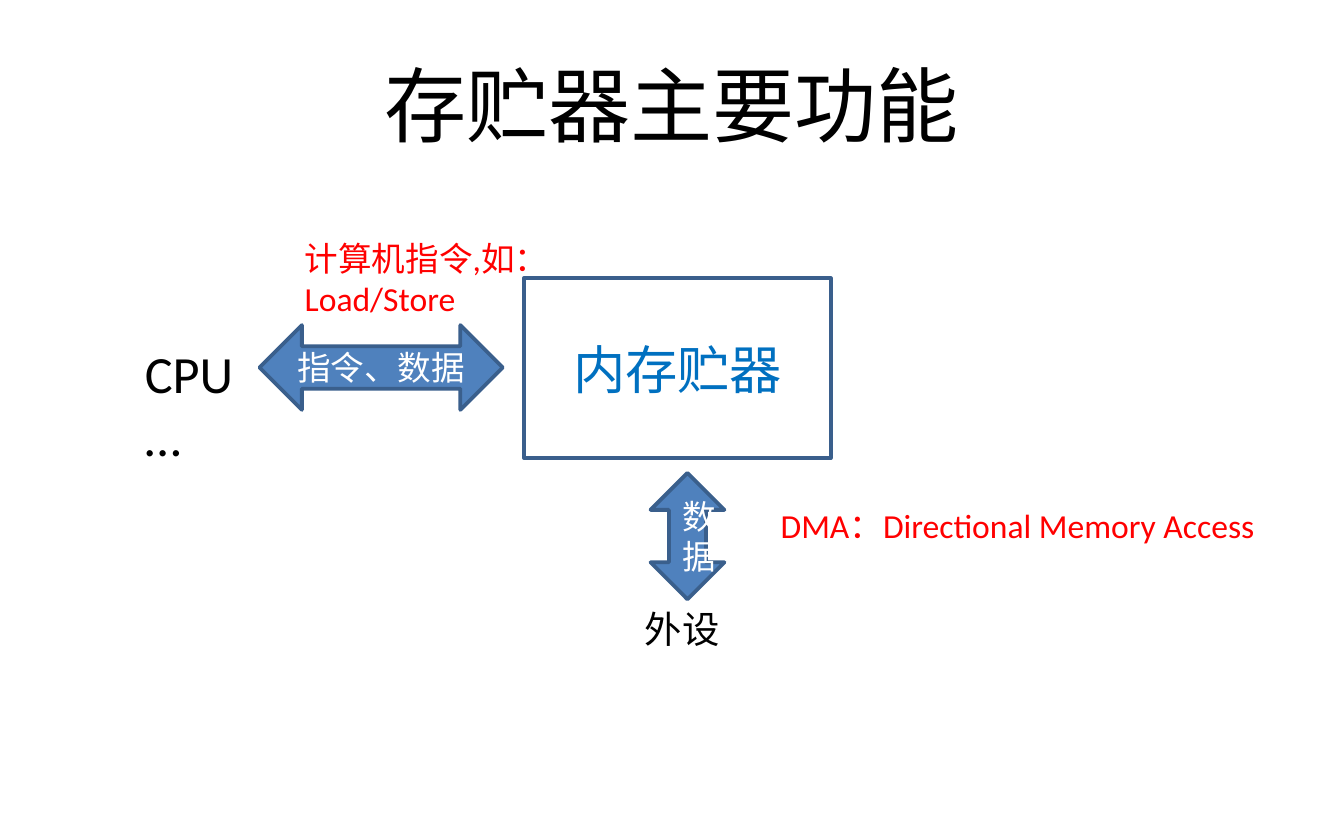
from dataclasses import dataclass
from typing import Optional

from pptx import Presentation
from pptx.dml.color import RGBColor
from pptx.enum.shapes import MSO_SHAPE
from pptx.enum.text import MSO_ANCHOR, PP_ALIGN
from pptx.util import Pt

RECT = MSO_SHAPE.RECTANGLE
ACROSS = MSO_SHAPE.LEFT_RIGHT_ARROW
UPDOWN = MSO_SHAPE.UP_DOWN_ARROW
TOP, MIDDLE = MSO_ANCHOR.TOP, MSO_ANCHOR.MIDDLE
LEFT, CENTER = PP_ALIGN.LEFT, PP_ALIGN.CENTER


@dataclass(frozen=True)
class Theme:
    black: str = "000000"
    white: str = "FFFFFF"
    red: str = "FF0000"
    blue: str = "0070C0"
    fill: str = "4F81BD"
    edge: str = "3A5F8C"
    title: float = 44
    large: float = 28
    medium: float = 20
    small: float = 18
    stroke: float = 2
    main: str = "Calibri"
    plain: str = "Arial"
    hanzi: str = "Noto Sans CJK SC"


THEME = Theme()


@dataclass(frozen=True)
class Label:
    text: str
    box: tuple[float, float, float, float]
    size: float
    color: str
    font: str = THEME.main
    align: PP_ALIGN = LEFT
    anchor: MSO_ANCHOR = TOP


@dataclass(frozen=True)
class Block:
    kind: MSO_SHAPE
    label: Label
    fill: Optional[str] = THEME.fill


def write(frame, label: Label) -> None:
    frame.word_wrap = True
    frame.vertical_anchor = label.anchor
    frame.text = label.text
    style = {"size": Pt(label.size), "name": label.font}
    for para in frame.paragraphs:
        para.alignment = label.align
        for run in para.runs:
            for key, value in style.items():
                setattr(run.font, key, value)
            run.font.color.rgb = RGBColor.from_string(label.color)


def draw_label(slide, label: Label) -> None:
    box = slide.shapes.add_textbox(*map(Pt, label.box))
    write(box.text_frame, label)


def draw_block(slide, block: Block) -> None:
    shape = slide.shapes.add_shape(block.kind, *map(Pt, block.label.box))
    shape.shadow.inherit = False
    if block.fill:
        shape.fill.solid()
        shape.fill.fore_color.rgb = RGBColor.from_string(block.fill)
    else:
        shape.fill.background()
    shape.line.color.rgb = RGBColor.from_string(THEME.edge)
    shape.line.width = Pt(THEME.stroke)
    write(shape.text_frame, block.label)


BLOCKS = [
    Block(RECT, Label("内存贮器", (280.8, 149, 164.2, 96.5), THEME.large,
                      THEME.blue, THEME.plain, CENTER, MIDDLE), None),
    Block(ACROSS, Label("指令、数据", (139, 174.2, 130.3, 45.4), THEME.small,
                        THEME.white, align=CENTER, anchor=MIDDLE)),
    Block(UPDOWN, Label("数据", (348.5, 253.4, 39.6, 67.7), THEME.small,
                        THEME.white, align=CENTER, anchor=MIDDLE)),
]

LABELS = [
    Label("存贮器主要功能", (36, 18, 648, 75), THEME.title, THEME.black,
          align=CENTER, anchor=MIDDLE),
    Label("CPU\n…", (70.6, 179.3, 62.6, 75), THEME.large, THEME.black),
    Label("外设", (338.4, 321.1, 56.9, 31.7), THEME.medium, THEME.black,
          THEME.hanzi),
    Label("计算机指令,如：\nLoad/Store", (156.2, 123.8, 141.8, 51),
          THEME.small, THEME.red),
    Label("DMA：Directional Memory Access", (411.1, 267.1, 272.2, 28.8),
          THEME.small, THEME.red),
]


def main() -> None:
    deck = Presentation()
    deck.slide_width, deck.slide_height = Pt(720), Pt(450)
    slide = deck.slides.add_slide(deck.slide_layouts[6])
    for block in BLOCKS:
        draw_block(slide, block)
    for label in LABELS:
        draw_label(slide, label)
    deck.save("out.pptx")


if __name__ == "__main__":
    main()
